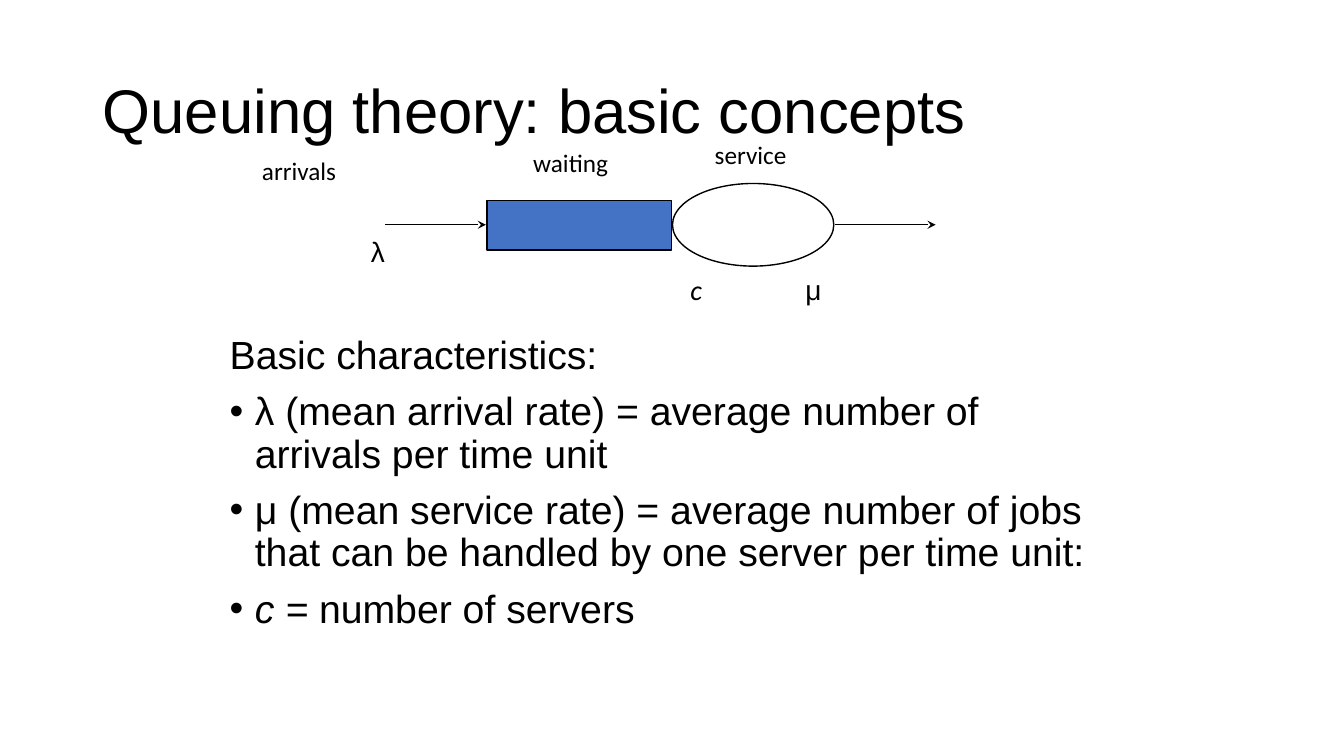
from dataclasses import dataclass

from lxml import etree
from pptx import Presentation
from pptx.dml.color import RGBColor
from pptx.enum.dml import MSO_PATTERN
from pptx.enum.shapes import MSO_CONNECTOR, MSO_SHAPE
from pptx.enum.text import MSO_ANCHOR, MSO_AUTO_SIZE, PP_ALIGN
from pptx.oxml.ns import qn
from pptx.util import Inches, Pt

STRAIGHT = MSO_CONNECTOR.STRAIGHT
RECTANGLE = MSO_SHAPE.RECTANGLE
OVAL = MSO_SHAPE.OVAL
DARK_VERTICAL = MSO_PATTERN.DARK_VERTICAL
TOP = MSO_ANCHOR.TOP
MIDDLE = MSO_ANCHOR.MIDDLE
LEFT = PP_ALIGN.LEFT
NO_FIT = MSO_AUTO_SIZE.NONE
GROW = MSO_AUTO_SIZE.SHAPE_TO_FIT_TEXT


@dataclass(frozen=True)
class Theme:
    ink: RGBColor = RGBColor(0x00, 0x00, 0x00)
    paper: RGBColor = RGBColor(0xFF, 0xFF, 0xFF)
    queue: RGBColor = RGBColor(0x44, 0x72, 0xC4)
    heading_font: str = "Arial"
    label_font: str = "Calibri"
    title_size: int = 44
    body_size: int = 28
    symbol_size: int = 20
    label_size: int = 18
    line_width: int = 1


THEME = Theme()


def write(paragraph, text, *, size, font=THEME.heading_font, italic=False, spacing=None, before=None):
    run = paragraph.add_run()
    run.text = text
    run.font.size = Pt(size)
    run.font.name = font
    run.font.italic = italic
    run.font.color.rgb = THEME.ink
    paragraph.alignment = LEFT
    if spacing is not None:
        paragraph.line_spacing = spacing
    if before is not None:
        paragraph.space_before = Pt(before)


def set_indent(paragraph, bullet):
    properties = paragraph._p.get_or_add_pPr()
    properties.set("marL", str(Inches(0.25)))
    properties.set("indent", str(-Inches(0.25)))
    if bullet:
        etree.SubElement(properties, qn("a:buFont"), typeface=THEME.heading_font)
        etree.SubElement(properties, qn("a:buChar"), char="•")
    else:
        etree.SubElement(properties, qn("a:buNone"))


def place_title(slide, text):
    title = slide.shapes.title
    title.left, title.top = Inches(0.92), Inches(0.4)
    title.width, title.height = Inches(11.5), Inches(1.45)
    frame = title.text_frame
    frame.word_wrap = True
    frame.auto_size = NO_FIT
    frame.vertical_anchor = MIDDLE
    write(frame.paragraphs[0], text, size=THEME.title_size, spacing=0.9)


def add_characteristics(slide, heading, items):
    frame = slide.shapes.add_textbox(Inches(2.18), Inches(3.28), Inches(8.9), Inches(3.35)).text_frame
    frame.word_wrap = True
    frame.vertical_anchor = TOP
    for index, runs in enumerate([[(heading, False)], *items]):
        paragraph = frame.add_paragraph() if index else frame.paragraphs[0]
        for text, italic in runs:
            write(paragraph, text, size=THEME.body_size, italic=italic, spacing=0.9, before=10)
        set_indent(paragraph, bullet=index > 0)


def add_label(slide, text, left, top, width, height, **text_format):
    frame = slide.shapes.add_textbox(Inches(left), Inches(top), Inches(width), Inches(height)).text_frame
    frame.word_wrap = False
    frame.auto_size = GROW
    write(frame.paragraphs[0], text, **text_format)


def add_stage(slide, kind, left, top, width, height, pattern=None):
    stage = slide.shapes.add_shape(kind, Inches(left), Inches(top), Inches(width), Inches(height))
    stage.shadow.inherit = False
    if pattern is None:
        stage.fill.background()
    else:
        stage.fill.patterned()
        stage.fill.pattern = pattern
        stage.fill.fore_color.rgb = THEME.queue
        stage.fill.back_color.rgb = THEME.paper
    stage.line.color.rgb = THEME.ink
    stage.line.width = Pt(THEME.line_width)


def add_flow(slide, start, y, length=1):
    flow = slide.shapes.add_connector(STRAIGHT, Inches(start), Inches(y), Inches(start + length), Inches(y))
    flow.line.color.rgb = THEME.ink
    flow.line.width = Pt(THEME.line_width)
    etree.SubElement(flow.line._get_or_add_ln(), qn("a:tailEnd"), type="stealth")
    etree.SubElement(flow._element.spPr, qn("a:effectLst"))


def add_queue_diagram(slide):
    add_stage(slide, OVAL, 6.67, 1.82, 1.6, 0.82)
    add_stage(slide, RECTANGLE, 4.83, 1.99, 1.83, 0.49, pattern=DARK_VERTICAL)
    for start in (3.82, 8.28):
        add_flow(slide, start, 2.23)
    for text, left, top, width in (
        ("arrivals", 2.5, 1.49, 0.94),
        ("waiting", 5.19, 1.41, 0.95),
        ("service", 6.99, 1.33, 0.92),
    ):
        add_label(slide, text, left, top, width, 0.4, size=THEME.label_size, font=THEME.label_font)
    for text, left, top, width, font, italic in (
        ("λ", 3.58, 2.28, 0.36, THEME.heading_font, False),
        ("μ", 7.89, 2.65, 0.36, THEME.heading_font, False),
        ("c", 6.75, 2.65, 0.32, THEME.label_font, True),
    ):
        add_label(slide, text, left, top, width, 0.44, size=THEME.symbol_size, font=font, italic=italic)


def main():
    presentation = Presentation()
    presentation.slide_width, presentation.slide_height = Inches(13.33), Inches(7.5)
    slide = presentation.slides.add_slide(presentation.slide_layouts.get_by_name("Title Only"))
    place_title(slide, "Queuing theory: basic concepts")
    add_characteristics(slide, "Basic characteristics:", [
        [("λ (mean arrival rate) = average number of arrivals per time unit", False)],
        [("μ (mean service rate) = average number of jobs that can be handled by one server per time unit:", False)],
        [("c = ", True), ("number of servers", False)],
    ])
    add_queue_diagram(slide)
    presentation.save("out.pptx")


if __name__ == "__main__":
    main()
